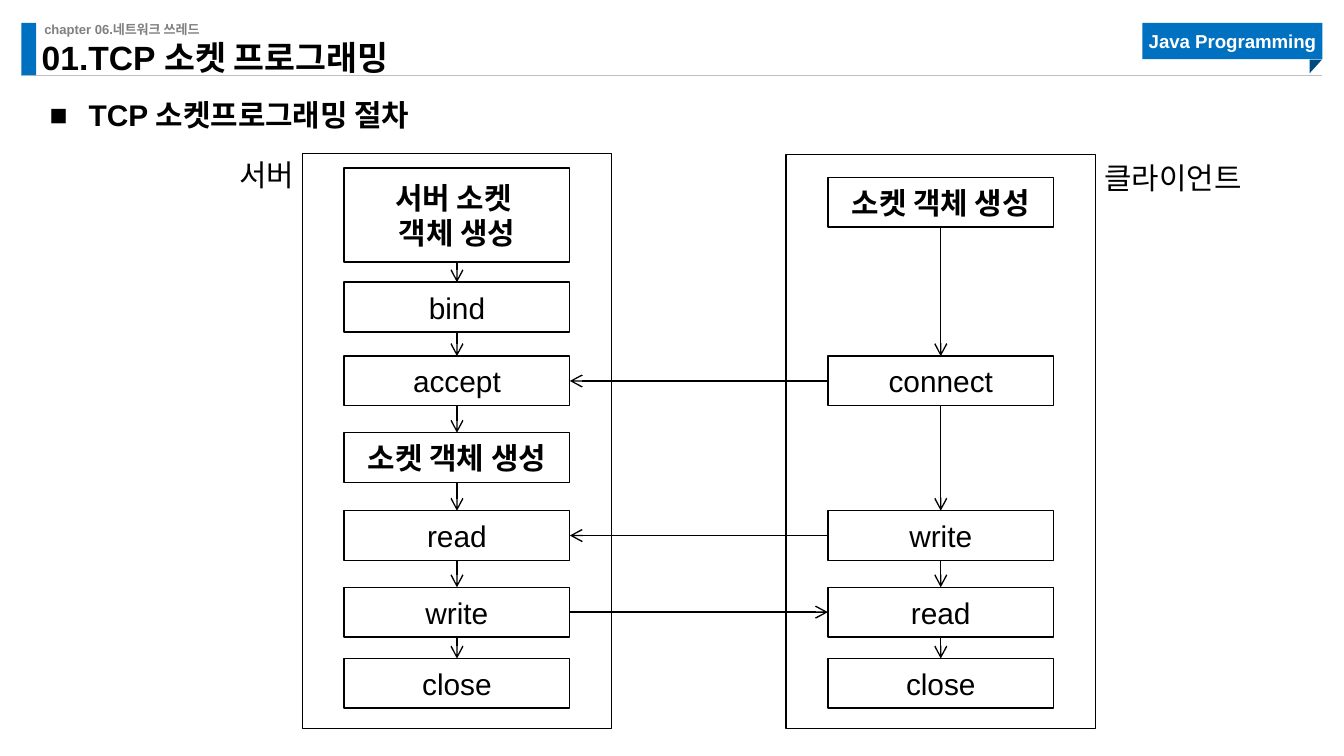
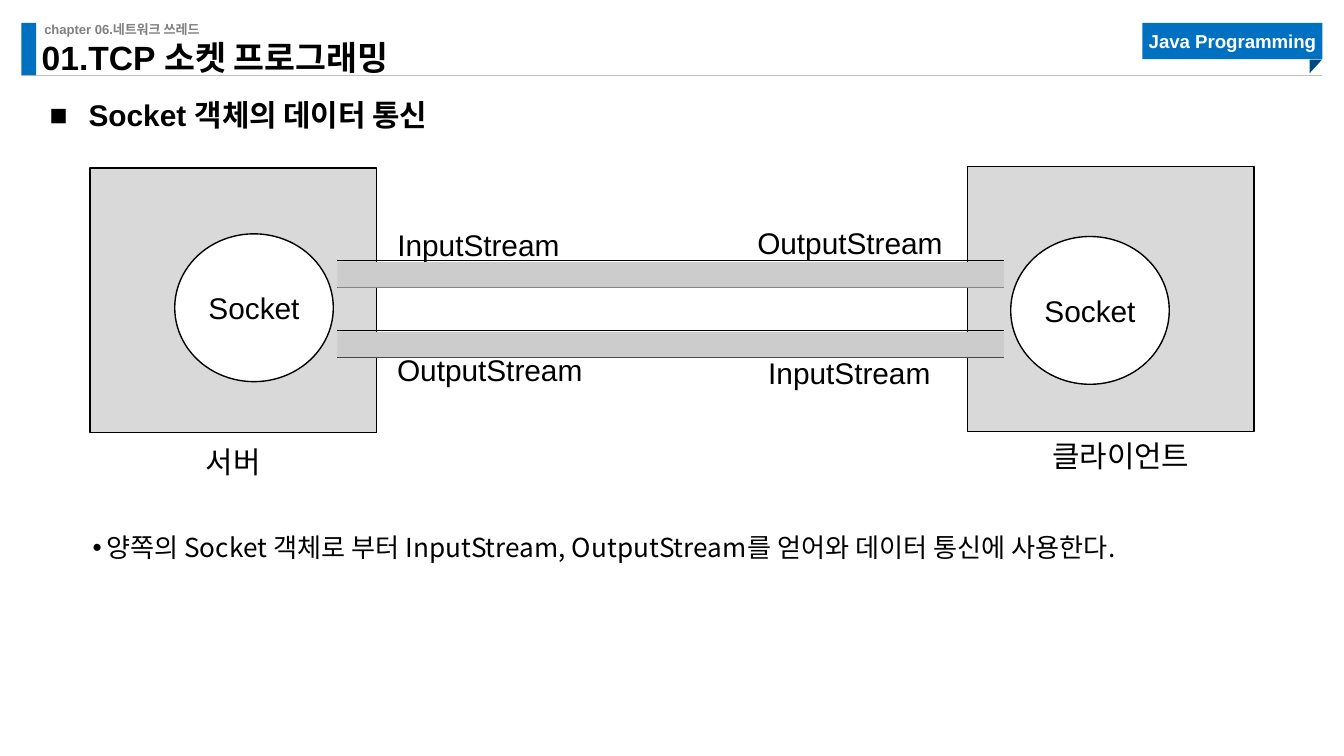
from lxml import etree
from pptx import Presentation
from pptx import util as u
from pptx.dml.color import RGBColor
from pptx.enum import shapes, text
from pptx.oxml.ns import qn

COLORS = {"black": "000000", "white": "FFFFFF", "blue": "0070C0", "navy": "004A82",
          "muted": "808080", "rule": "BFBFBF", "panel": "D9D9D9", "pipe": "CCCCCC"}
FONT, KOREAN_FONT = "Arial", "Noto Sans CJK KR"
RECT, OVAL = shapes.MSO_SHAPE.RECTANGLE, shapes.MSO_SHAPE.OVAL
LEFT, CENTER, RIGHT = text.PP_ALIGN.LEFT, text.PP_ALIGN.CENTER, text.PP_ALIGN.RIGHT
TOP, BOTTOM = 0, 2  # connection sites of a rectangle
SITE_LEFT, SITE_RIGHT = 1, 3

CHAPTER = "chapter 06.네트워크 쓰레드"
COURSE = "Java Programming"
TITLE = "01.TCP 소켓 프로그래밍"

# Each step: lines, top, height, bold
STEP_HEIGHT = 0.37
SERVER_STEPS = [
    (["서버 소켓 ", "객체 생성"], 1.25, 0.7, True),
    (["bind"], 2.1, STEP_HEIGHT, False),
    (["accept"], 2.65, STEP_HEIGHT, False),
    (["소켓 객체 생성"], 3.22, STEP_HEIGHT, True),
    (["read"], 3.8, STEP_HEIGHT, False),
    (["write"], 4.37, STEP_HEIGHT, False),
    (["close"], 4.9, STEP_HEIGHT, False),
]
CLIENT_STEPS = [
    (["소켓 객체 생성"], 1.32, STEP_HEIGHT, True),
    (["connect"], 2.65, STEP_HEIGHT, False),
    (["write"], 3.8, STEP_HEIGHT, False),
    (["read"], 4.37, STEP_HEIGHT, False),
    (["close"], 4.9, STEP_HEIGHT, False),
]
# Each lane: frame, steps, label, label place, label alignment
LANES = [
    ((2.25, 1.14, 2.3, 4.28), SERVER_STEPS, "서버", (1.23, 1.12, 1.06, 0.37), RIGHT),
    ((5.85, 1.15, 2.3, 4.27), CLIENT_STEPS, "클라이언트", (8.12, 1.14, 1.79, 0.37), LEFT),
]
STEP_INSET, STEP_WIDTH = 0.31, 1.68
# Each message: server step, client step, whether the client sends it
MESSAGES = [(2, 1, True), (4, 2, True), (5, 3, False)]

HOSTS = [((0.67, 1.25), (1.3, 1.74)), ((7.2, 1.24), (7.52, 1.76))]
HOST_SIZE, SOCKET_SIZE = (2.13, 1.97), (1.18, 1.1)
STREAM_LABELS = [
    ("서버", (1.41, 3.25, 0.65, 0.37)),
    ("클라이언트", (7.68, 3.21, 1.32, 0.37)),
    ("InputStream", (2.84, 1.64, 1.44, 0.37)),
    ("OutputStream", (5.51, 1.62, 1.63, 0.37)),
    ("OutputStream", (2.83, 2.57, 1.63, 0.37)),
    ("InputStream", (5.6, 2.59, 1.44, 0.37)),
]
PIPE_LEFT, PIPE_RIGHT, PIPE_HEIGHT = 2.51, 7.47, 0.2
PIPE_TOPS = [1.94, 2.46]
SUMMARY = ("양쪽의 Socket 객체로 부터 InputStream, OutputStream를 얻어와 "
           "데이터 통신에 사용한다.")


def rgb(name):
    return RGBColor.from_string(COLORS[name])


def inches(values):
    return [u.Inches(value) for value in values]


def write(shape, lines, size=16, bold=False, color="black", align=LEFT, font=FONT,
          anchor=text.MSO_ANCHOR.TOP, insets=(0, 0, 0, 0), wrap=True,
          spacing=None, bullet=None, indent=(0, 0), level=0):
    frame = shape.text_frame
    frame.word_wrap = wrap
    frame.auto_size = text.MSO_AUTO_SIZE.NONE
    frame.vertical_anchor = anchor
    (frame.margin_left, frame.margin_top,
     frame.margin_right, frame.margin_bottom) = inches(insets)
    for index, line in enumerate(lines):
        para = frame.add_paragraph() if index else frame.paragraphs[0]
        para.text = line
        para.alignment = align
        para.level = level
        para.space_before = u.Pt(0)
        if spacing:
            para.line_spacing = spacing
        if bullet:
            props = para._p.get_or_add_pPr()
            props.set("marL", str(u.Inches(indent[0])))
            props.set("indent", str(u.Inches(indent[1])))
            etree.SubElement(props, qn("a:buFont")).set("typeface", FONT)
            etree.SubElement(props, qn("a:buChar")).set("char", bullet)
        para.font.name, para.font.size, para.font.bold = font, u.Pt(size), bold
        para.font.color.rgb = rgb(color)


def add_box(slide, place, fill=None, line=None, kind=RECT):
    box = slide.shapes.add_shape(kind, *inches(place))
    box.shadow.inherit = False
    if fill:
        box.fill.solid()
        box.fill.fore_color.rgb = rgb(fill)
    else:
        box.fill.background()
    if line:
        box.line.color.rgb = rgb(line)
        box.line.width = u.Pt(0.75)
    else:
        box.line.fill.background()
    return box


def add_text(slide, place, lines, **style):
    box = slide.shapes.add_textbox(*inches(place))
    write(box, lines, **style)
    return box


def add_label(slide, place, label, align=CENTER, wrap=False):
    add_text(slide, place, [label], align=align, wrap=wrap, insets=(0.1, 0.05, 0.1, 0.05))


def add_line(slide, start=(0, 0), end=(0, 0), color="black", width=0.75):
    line = slide.shapes.add_connector(shapes.MSO_CONNECTOR.STRAIGHT, *inches(start + end))
    line.line.color.rgb = rgb(color)
    line.line.width = u.Pt(width)
    etree.SubElement(line._element.spPr, qn("a:effectLst"))
    return line


def add_arrow(slide, source, source_site, target, target_site):
    arrow = add_line(slide)
    arrow.begin_connect(source, source_site)
    arrow.end_connect(target, target_site)
    etree.SubElement(arrow.line._get_or_add_ln(), qn("a:tailEnd")).set("type", "arrow")


def move_header_to_layout(slide):
    """Draw the shared header on a slide, then hand it to the slide's layout."""
    layout = slide.slide_layout
    for holder in list(layout.placeholders)[1:]:
        layout.shapes.element.remove(holder.element)
    rule = add_line(slide, (0.16, 0.56), (9.84, 0.56), "rule", 0.5)
    bar = add_box(slide, (0.16, 0.17, 0.11, 0.39), "blue")
    chapter = add_text(slide, (0.33, 0.16, 3.23, 0.12), [CHAPTER],
                       size=7, bold=True, color="muted")
    ribbon = add_box(slide, (8.5, 0.17, 1.34, 0.27), "blue")
    write(ribbon, [COURSE], size=10, bold=True, color="white", align=CENTER,
          anchor=text.MSO_ANCHOR.MIDDLE)
    fold = add_box(slide, (9.74, 0.45, 0.1, 0.09), "navy",
                   kind=shapes.MSO_SHAPE.RIGHT_TRIANGLE)
    fold.rotation = 90
    for part in (rule, bar, chapter, ribbon, fold):
        layout.shapes.element.append(part.element)


def add_slide(deck, heading):
    slide = deck.slides.add_slide(deck.slide_layouts[5])
    title = slide.shapes.title
    title.left, title.top, title.width, title.height = inches((0.31, 0.35, 3.3, 0.23))
    write(title, [TITLE], size=18, bold=True, spacing=0.9, anchor=text.MSO_ANCHOR.BOTTOM)
    add_text(slide, (0.37, 0.59, 9.54, 0.33), [heading], bold=True, spacing=1.5,
             bullet="■", indent=(0.29, -0.29))
    return slide


def draw_procedure(slide):
    lanes = []
    for frame, steps, label, label_place, align in LANES:
        add_box(slide, frame, line="black")
        boxes = []
        for lines, top, height, bold in steps:
            box = add_box(slide, (frame[0] + STEP_INSET, top, STEP_WIDTH, height), line="black")
            write(box, lines, bold=bold, align=CENTER, anchor=text.MSO_ANCHOR.MIDDLE)
            boxes.append(box)
        for upper, lower in zip(boxes, boxes[1:]):
            add_arrow(slide, upper, BOTTOM, lower, TOP)
        add_label(slide, label_place, label, align, wrap=True)
        lanes.append(boxes)
    server, client = lanes
    for server_step, client_step, from_client in MESSAGES:
        ends = [(server[server_step], SITE_RIGHT), (client[client_step], SITE_LEFT)]
        if from_client:
            ends.reverse()
        add_arrow(slide, *ends[0], *ends[1])


def draw_streams(slide):
    for host_at, socket_at in HOSTS:
        add_box(slide, host_at + HOST_SIZE, "panel", "black")
        socket = add_box(slide, socket_at + SOCKET_SIZE, "white", "black", OVAL)
        write(socket, ["Socket"], align=CENTER, anchor=text.MSO_ANCHOR.MIDDLE)
    for label, place in STREAM_LABELS:
        add_label(slide, place, label)
    for top in PIPE_TOPS:
        for edge in (top, top + PIPE_HEIGHT):
            add_line(slide, (PIPE_LEFT, edge), (PIPE_RIGHT, edge))
        add_box(slide, (PIPE_LEFT, top + 0.01, PIPE_RIGHT - PIPE_LEFT, PIPE_HEIGHT - 0.01), "pipe")
    add_text(slide, (0.27, 3.91, 9.73, 0.51), [SUMMARY], size=14, font=KOREAN_FONT,
             insets=(0.12, 0, 0.1, 0.05), spacing=1.2, bullet="•",
             indent=(0.4, -0.1), level=1)


def main():
    deck = Presentation()
    deck.slide_width = u.Inches(10)
    deck.slide_height = deck.slide_width * 9 // 16
    procedure = add_slide(deck, "TCP 소켓프로그래밍 절차")
    move_header_to_layout(procedure)
    draw_procedure(procedure)
    draw_streams(add_slide(deck, "Socket 객체의 데이터 통신"))
    deck.save("out.pptx")


if __name__ == "__main__":
    main()
